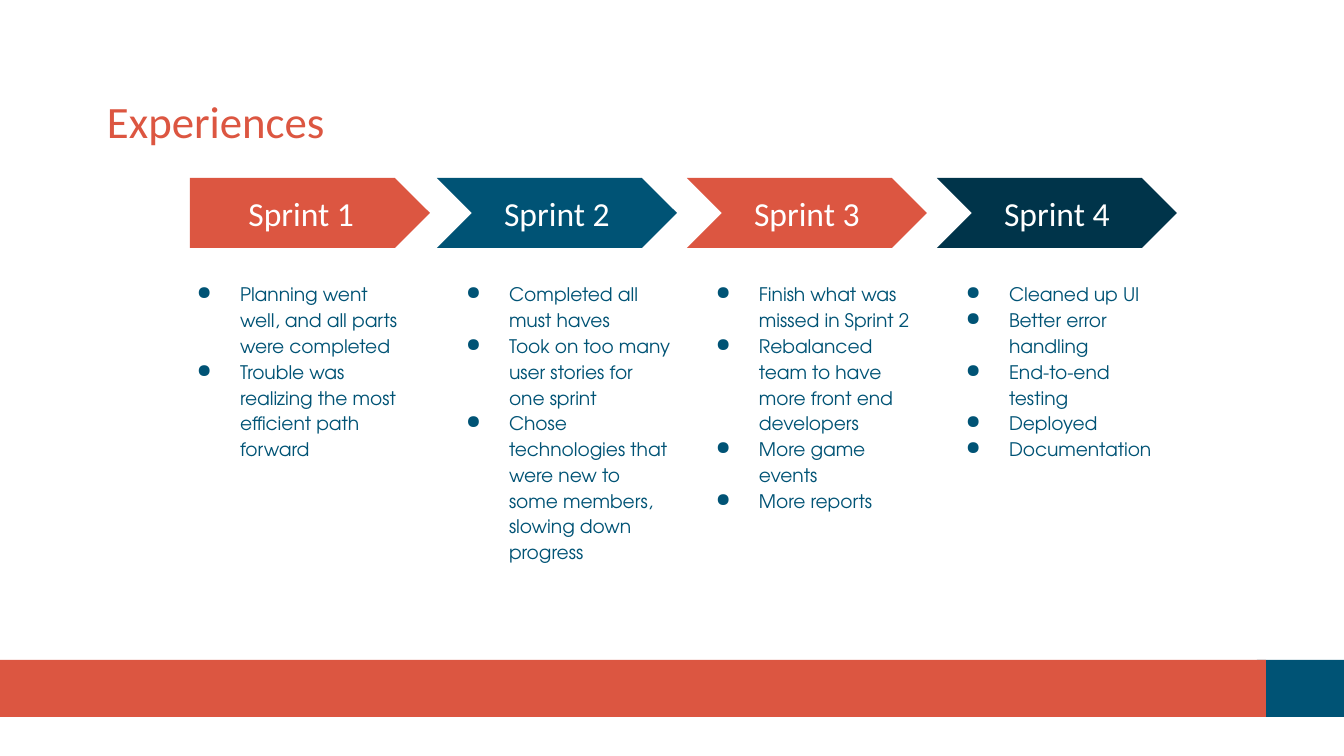
"""Build the slide of experiences from four sprints."""
from lxml import etree
from pptx import Presentation
from pptx.dml.color import RGBColor
from pptx.enum.shapes import MSO_SHAPE
from pptx.enum.text import MSO_ANCHOR, PP_ALIGN
from pptx.oxml.ns import qn
from pptx.util import Emu, Pt

RECTANGLE, PENTAGON, CHEVRON = MSO_SHAPE.RECTANGLE, MSO_SHAPE.PENTAGON, MSO_SHAPE.CHEVRON
TOP, MIDDLE = MSO_ANCHOR.TOP, MSO_ANCHOR.MIDDLE
LEFT, CENTER = PP_ALIGN.LEFT, PP_ALIGN.CENTER

SCALE = 914400 / 134.4
COLORS = {"coral": "DC5641", "teal": "005375", "navy": "00344A", "white": "FFFFFF"}
FORMATS = {
    "title": {"name": "Calibri", "size": Pt(24)},
    "sprint": {"name": "Calibri", "size": Pt(18)},
    "body": {"name": "TeX Gyre Adventor", "size": Pt(10)},
}
SPRINTS = [
    ("Sprint 1", "coral", 190, 160, [
        "Planning went well, and all parts were completed",
        "Trouble was realizing the most efficient path forward"]),
    ("Sprint 2", "teal", 437, 429, [
        "Completed all must haves",
        "Took on too many user stories for one sprint",
        "Chose technologies that were new to some members, slowing down progress"]),
    ("Sprint 3", "coral", 687, 679, [
        "Finish what was missed in Sprint 2",
        "Rebalanced team to have more front end developers",
        "More game events",
        "More reports"]),
    ("Sprint 4", "navy", 937, 929, [
        "Cleaned up UI",
        "Better error handling",
        "End-to-end testing",
        "Deployed",
        "Documentation"]),
]


def px(length):
    """Turn px into EMU."""
    return Emu(round(length * SCALE))


class SlideBuilder:
    """Hold the style and the current slide."""

    def __init__(self, slide, colors, formats):
        """Keep the slide and its style."""
        self.slide, self.colors, self.formats = slide, colors, formats

    def rgb(self, color):
        """Look up a colour by name."""
        return RGBColor.from_string(self.colors[color])

    def block(self, preset, color, *box):
        """Add a plain filled shape."""
        block = self.slide.shapes.add_shape(preset, *map(px, box))
        block.shadow.inherit = False
        block.fill.solid()
        block.fill.fore_color.rgb = self.rgb(color)
        block.line.fill.background()
        return block

    def fill_text(self, holder, lines, style, color, anchor=MIDDLE, align=LEFT, bulleted=False):
        """Put paragraphs into a shape."""
        frame = holder.text_frame
        margins = dict.fromkeys(
            ("margin_left", "margin_top", "margin_right", "margin_bottom"), px(13))
        for key, value in {**margins, "word_wrap": True, "vertical_anchor": anchor}.items():
            setattr(frame, key, value)
        for index, line in enumerate(lines):
            paragraph = frame.add_paragraph() if index else frame.paragraphs[0]
            paragraph.alignment = align
            if bulleted:
                self.bullet(paragraph, color)
            run = paragraph.add_run()
            run.text = line
            for key, value in self.formats[style].items():
                setattr(run.font, key, value)
            run.font.color.rgb = self.rgb(color)

    def bullet(self, paragraph, color):
        """Give a paragraph a hanging round bullet."""
        paragraph.line_spacing = 1.15
        properties = paragraph._p.get_or_add_pPr()
        properties.set("marL", str(px(67)))
        properties.set("indent", str(px(-43)))
        tint = etree.SubElement(properties, qn("a:buClr"))
        etree.SubElement(tint, qn("a:srgbClr"), val=self.colors[color])
        etree.SubElement(properties, qn("a:buChar"), char="●")

    def text(self, box, lines, style, color, **layout):
        """Add a text box."""
        holder = self.slide.shapes.add_textbox(*map(px, box))
        self.fill_text(holder, lines, style, color, **layout)

    def arrow(self, preset, label, color, left):
        """Add a labelled sprint arrow."""
        arrow = self.block(preset, color, left, 178, 240, 70)
        arrow.adjustments[0] = 0.5
        self.fill_text(arrow, [label], "sprint", "white", align=CENTER)


def main():
    """Build and save the slide."""
    deck = Presentation()
    deck.slide_width, deck.slide_height = px(1344), px(756)
    builder = SlideBuilder(deck.slides.add_slide(deck.slide_layouts[6]), COLORS, FORMATS)
    builder.block(RECTANGLE, "teal", 1257, 660, 87, 57)
    builder.block(RECTANGLE, "coral", 0, 660, 1266, 57)
    builder.text((94, 92, 1185, 58), ["Experiences"], "title", "coral")
    for index, (label, color, arrow_left, notes_left, notes) in enumerate(SPRINTS):
        builder.arrow(CHEVRON if index else PENTAGON, label, color, arrow_left)
        builder.text((notes_left, 267, 255, 107), notes, "body", "teal",
                     anchor=TOP, bulleted=True)
    deck.save("out.pptx")


if __name__ == "__main__":
    main()
